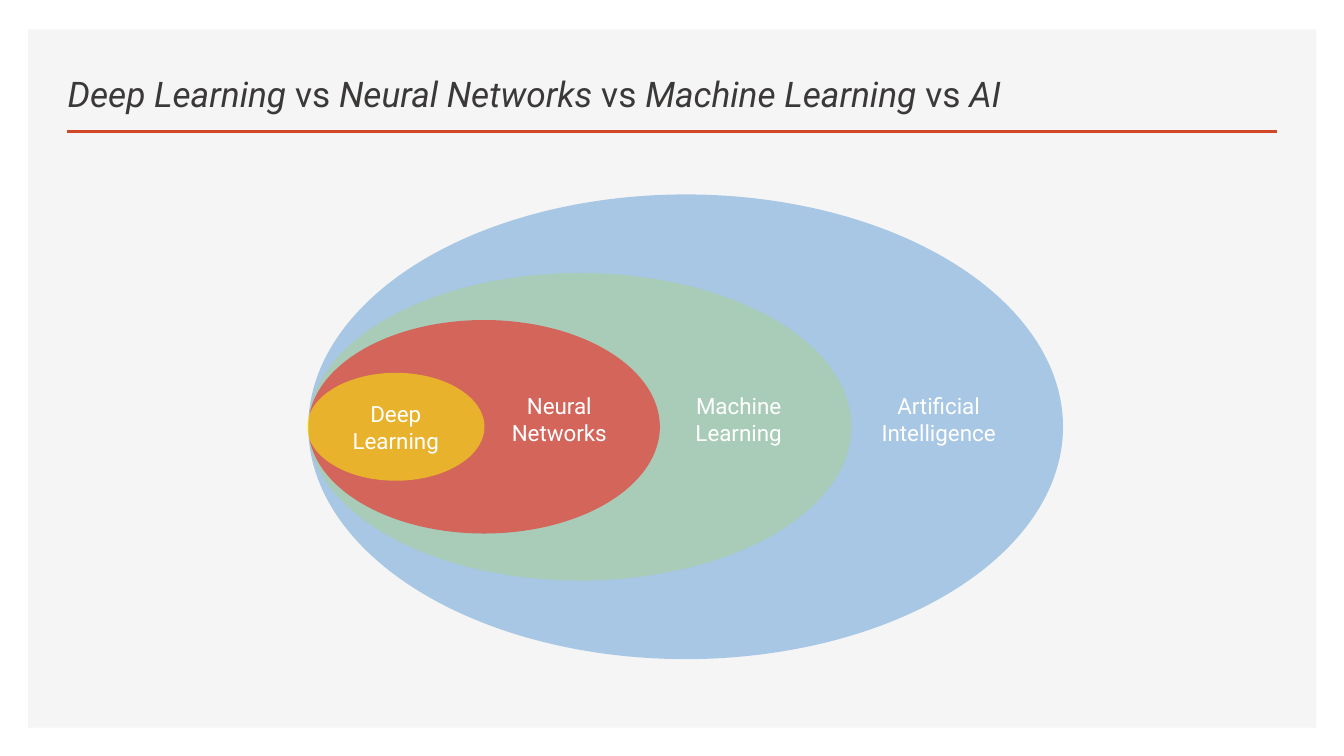
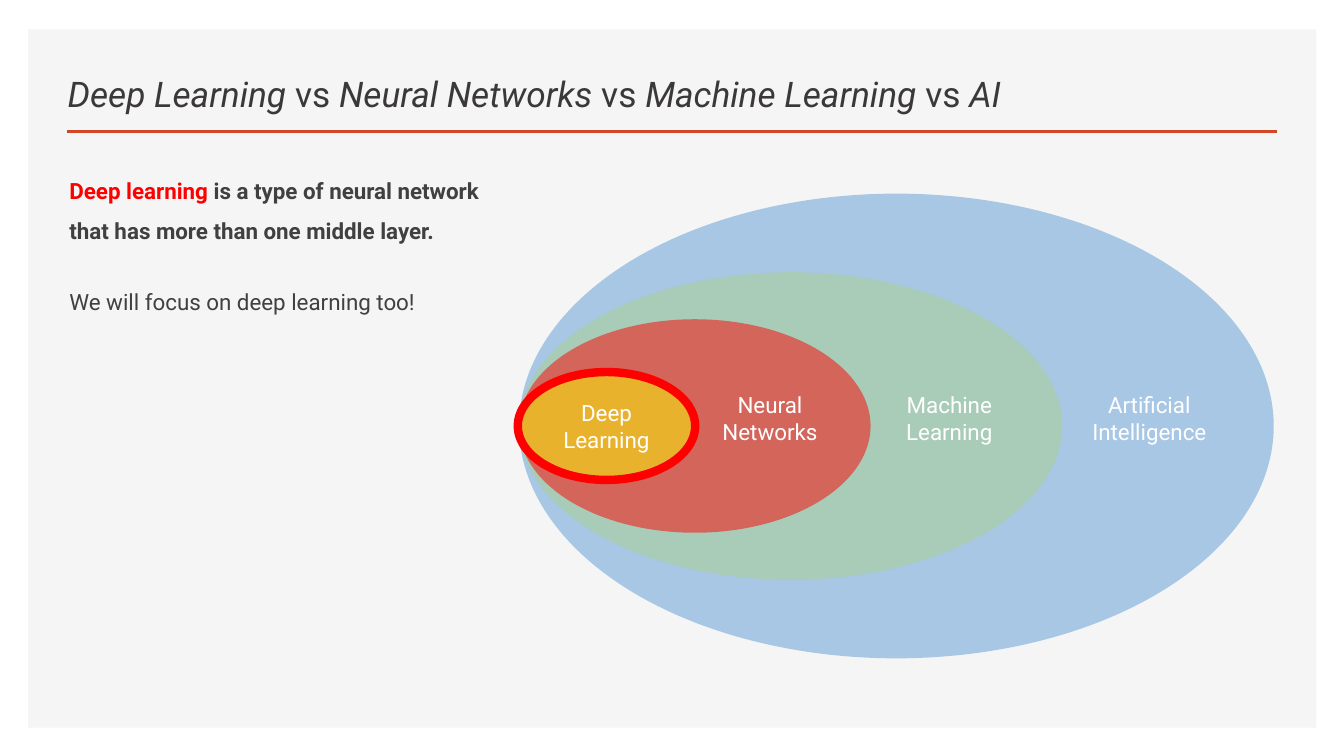
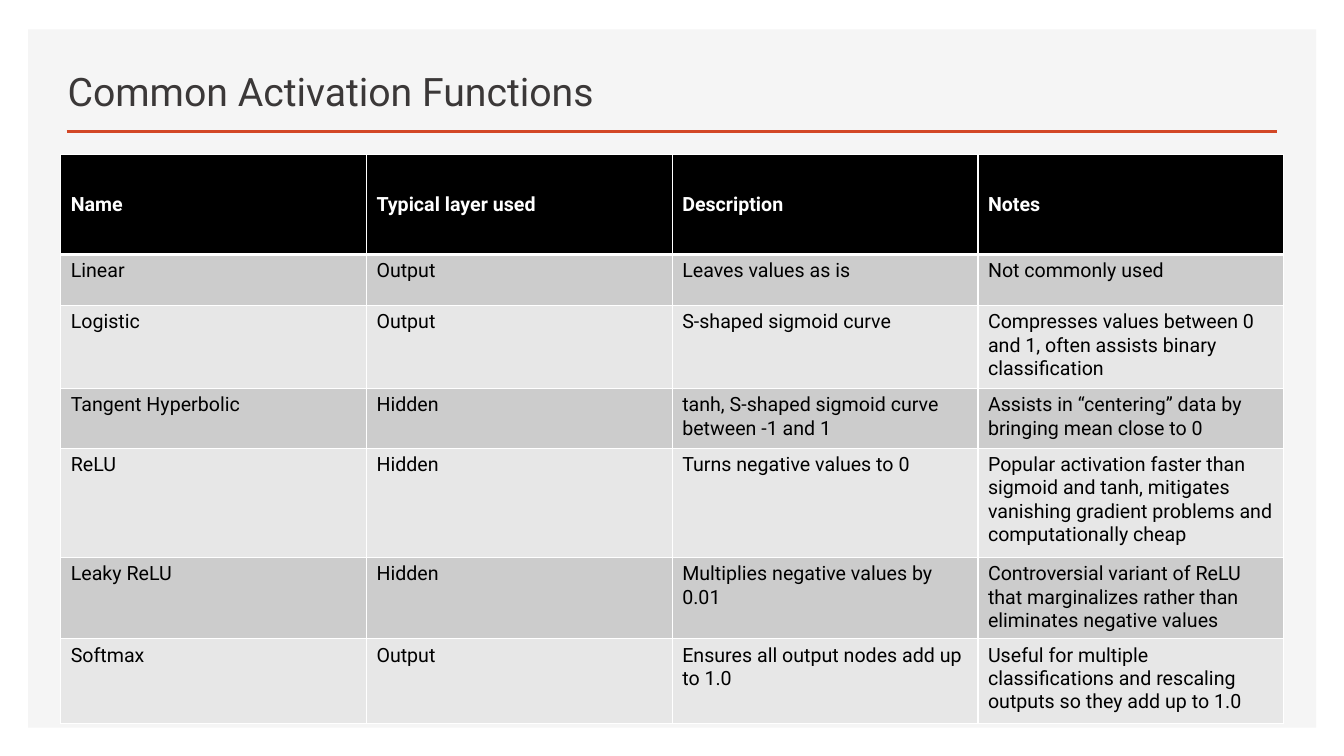
from lxml.etree import SubElement
from pptx import Presentation
from pptx.dml.color import RGBColor
from pptx.enum.shapes import MSO_CONNECTOR as Connector, MSO_SHAPE as Shape
from pptx.enum.text import MSO_ANCHOR as Anchor, MSO_AUTO_SIZE as AutoSize, PP_ALIGN as Align
from pptx.oxml.ns import qn
from pptx.util import Cm, Pt

FONT = "Roboto"
WHITE = RGBColor(0xFF, 0xFF, 0xFF)
BLACK = RGBColor(0x00, 0x00, 0x00)
PANEL = RGBColor(0xF5, 0xF5, 0xF5)
ORANGE = RGBColor(0xD2, 0x47, 0x26)
TITLE_GREY = RGBColor(0x3B, 0x38, 0x38)
BODY_GREY = RGBColor(0x40, 0x40, 0x40)
RED = RGBColor(0xFF, 0x00, 0x00)
YELLOW = RGBColor(0xFF, 0xFF, 0x00)
GREEN = RGBColor(0xA9, 0xD1, 0x8E)
BLUE = RGBColor(0x5B, 0x9B, 0xD5)
DARK_ROW = RGBColor(0xCC, 0xCC, 0xCC)
LIGHT_ROW = RGBColor(0xE7, 0xE7, 0xE7)

# Title runs: text, italic
COMPARISON_TITLE = [
    ("Deep Learning ", True), ("vs ", False),
    ("Neural Networks ", True), ("vs ", False),
    ("Machine Learning ", True), ("vs ", False), ("AI", True),
]

# Nested fields, outermost first: width, height (cm), colour
FIELDS = [(19.02, 11.71, BLUE), (13.69, 7.75, GREEN), (8.86, 5.38, RED)]
# Labels right of the innermost field: text, left, width (cm)
FIELD_LABELS = [
    ("Neural Networks", 4.75, 3.15),
    ("Machine Learning", 9.27, 3.15),
    ("Artificial Intelligence", 14.07, 3.63),
]

ACTIVATIONS = [
    ("Name", "Typical layer used", "Description", "Notes"),
    ("Linear", "Output", "Leaves values as is", "Not commonly used"),
    ("Logistic", "Output", "S-shaped sigmoid curve",
     "Compresses values between 0 and 1, often assists binary classification"),
    ("Tangent Hyperbolic", "Hidden", "tanh, S-shaped sigmoid curve between -1 and 1",
     "Assists in “centering” data by bringing mean close to 0"),
    ("ReLU", "Hidden", "Turns negative values to 0",
     "Popular activation faster than sigmoid and tanh, mitigates vanishing gradient "
     "problems and computationally cheap"),
    ("Leaky ReLU", "Hidden", "Multiplies negative values by 0.01",
     "Controversial variant of ReLU that marginalizes rather than eliminates negative values"),
    ("Softmax", "Output", "Ensures all output nodes add up to 1.0",
     "Useful for multiple classifications and rescaling outputs so they add up to 1.0"),
]
ROW_HEIGHTS = [2.52, 1.29, 2.09, 1.51, 2.75, 2.05, 2.14]


def write(paragraph, text, size=16, color=WHITE, bold=False, italic=False, align=None):
    """Add one formatted run to a paragraph."""
    run = paragraph.add_run()
    run.text = text
    font = run.font
    font.name, font.size, font.bold, font.italic = FONT, Pt(size), bold, italic
    font.color.rgb = color
    if align is not None:
        paragraph.alignment = align


def text_box(shapes, left, top, width, height):
    frame = shapes.add_textbox(Cm(left), Cm(top), Cm(width), Cm(height)).text_frame
    frame.word_wrap = True
    return frame


def filled(shapes, kind, left, top, width, height, color, alpha=None):
    """Add a borderless shape, optionally see-through (alpha in percent)."""
    shape = shapes.add_shape(kind, Cm(left), Cm(top), Cm(width), Cm(height))
    shape.shadow.inherit = False
    shape.line.fill.background()
    shape.fill.solid()
    shape.fill.fore_color.rgb = color
    if alpha is not None:
        tint = shape.fill._xPr.find(qn("a:solidFill"))[0]
        SubElement(tint, qn("a:alpha"), val=str(alpha * 1000))
    return shape


def move_frame_to_layout(layout, slide):
    """Draw the panel and title rule, then hand them to the shared layout."""
    panel = filled(slide.shapes, Shape.RECTANGLE, 0.71, 0.74, 32.46, 17.6, PANEL)
    rule = slide.shapes.add_connector(Connector.STRAIGHT, Cm(1.68), Cm(3.32), Cm(32.18), Cm(3.32))
    rule.line.color.rgb = ORANGE
    rule.line.width = Pt(2)
    SubElement(rule._element.spPr, qn("a:effectLst"))
    for place, part in enumerate((panel, rule), start=2):
        layout.shapes._spTree.insert(place, part._element)


def add_page(deck, title_runs, title_size):
    slide = deck.slides.add_slide(deck.slide_layouts[5])
    title = slide.shapes.title
    title.left, title.top, title.width, title.height = Cm(1.45), Cm(1.24), Cm(25.35), Cm(1.78)
    frame = title.text_frame
    frame.vertical_anchor = Anchor.BOTTOM
    frame.auto_size = AutoSize.NONE
    for text, italic in title_runs:
        write(frame.paragraphs[0], text, size=title_size, color=TITLE_GREY,
              italic=italic, align=Align.LEFT)
    return slide


def add_fields_diagram(slide, left, top, highlight=False):
    """Nested ellipses that touch on the left and share one horizontal axis."""
    shapes = slide.shapes.add_group_shape().shapes
    axis = top + FIELDS[0][1] / 2
    for width, height, color in FIELDS:
        filled(shapes, Shape.OVAL, left, axis - height / 2, width, height, color, alpha=50)

    # Innermost field carries its own label
    deep = filled(shapes, Shape.OVAL, left - 0.03, axis - 1.36, 4.47, 2.72, YELLOW, alpha=50)
    deep.text_frame.word_wrap = True
    deep.text_frame.vertical_anchor = Anchor.MIDDLE
    write(deep.text_frame.paragraphs[0], "Deep Learning", align=Align.CENTER)
    if highlight:
        deep.line.color.rgb = RED
        deep.line.width = Pt(6)

    for text, offset, width in FIELD_LABELS:
        label = text_box(shapes, left + offset, axis - 1, width, 1.98)
        write(label.paragraphs[0], text, align=Align.CENTER)


def add_definition(slide, left, top, width, height):
    frame = text_box(slide.shapes, left, top, width, height)
    definition, focus = frame.paragraphs[0], frame.add_paragraph()
    definition.line_spacing = focus.line_spacing = 1.5
    definition.space_after = Pt(12)
    focus.space_before = Pt(10)
    write(definition, "Deep learning ", color=RED, bold=True)
    write(definition, "is a type of neural network that has more than one middle layer.",
          color=BODY_GREY, bold=True)
    write(focus, "We will focus on deep learning too!", color=BODY_GREY)


def set_borders(cell, top, bottom):
    """White cell borders; top and bottom widths in points."""
    props = cell._tc.get_or_add_tcPr()
    for side, width in (("L", 1), ("R", 1), ("T", top), ("B", bottom)):
        line = SubElement(props, qn("a:ln" + side), w=str(Pt(width)))
        SubElement(SubElement(line, qn("a:solidFill")), qn("a:srgbClr"), val=str(WHITE))


def add_activation_table(slide, left, top, width):
    columns = len(ACTIVATIONS[0])
    table = slide.shapes.add_table(len(ACTIVATIONS), columns, Cm(left), Cm(top),
                                   Cm(width), Cm(sum(ROW_HEIGHTS))).table
    for column in table.columns:
        column.width = Cm(width / columns)
    for r, (entries, height) in enumerate(zip(ACTIVATIONS, ROW_HEIGHTS)):
        table.rows[r].height = Cm(height)
        header = r == 0
        row_color = BLACK if header else DARK_ROW if r % 2 else LIGHT_ROW
        for c, entry in enumerate(entries):
            cell = table.cell(r, c)
            set_borders(cell, top=3 if r == 1 else 1, bottom=3 if header else 1)
            cell.fill.solid()
            cell.fill.fore_color.rgb = row_color
            cell.vertical_anchor = Anchor.MIDDLE if header else Anchor.TOP
            write(cell.text_frame.paragraphs[0], entry, size=14,
                  color=WHITE if header else BLACK, bold=header)


def main():
    deck = Presentation()
    deck.slide_width, deck.slide_height = Cm(33.87), Cm(19.05)

    overview = add_page(deck, COMPARISON_TITLE, 25.2)
    move_frame_to_layout(overview.slide_layout, overview)
    add_fields_diagram(overview, 7.77, 4.9)

    focus = add_page(deck, COMPARISON_TITLE, 25.2)
    add_fields_diagram(focus, 13.08, 4.88, highlight=True)
    add_definition(focus, 1.5, 3.99, 11.15, 14.38)

    functions = add_page(deck, [("Common Activation Functions", False)], 28)
    add_activation_table(functions, 1.53, 3.89, 30.82)

    deck.save("out.pptx")


if __name__ == "__main__":
    main()
